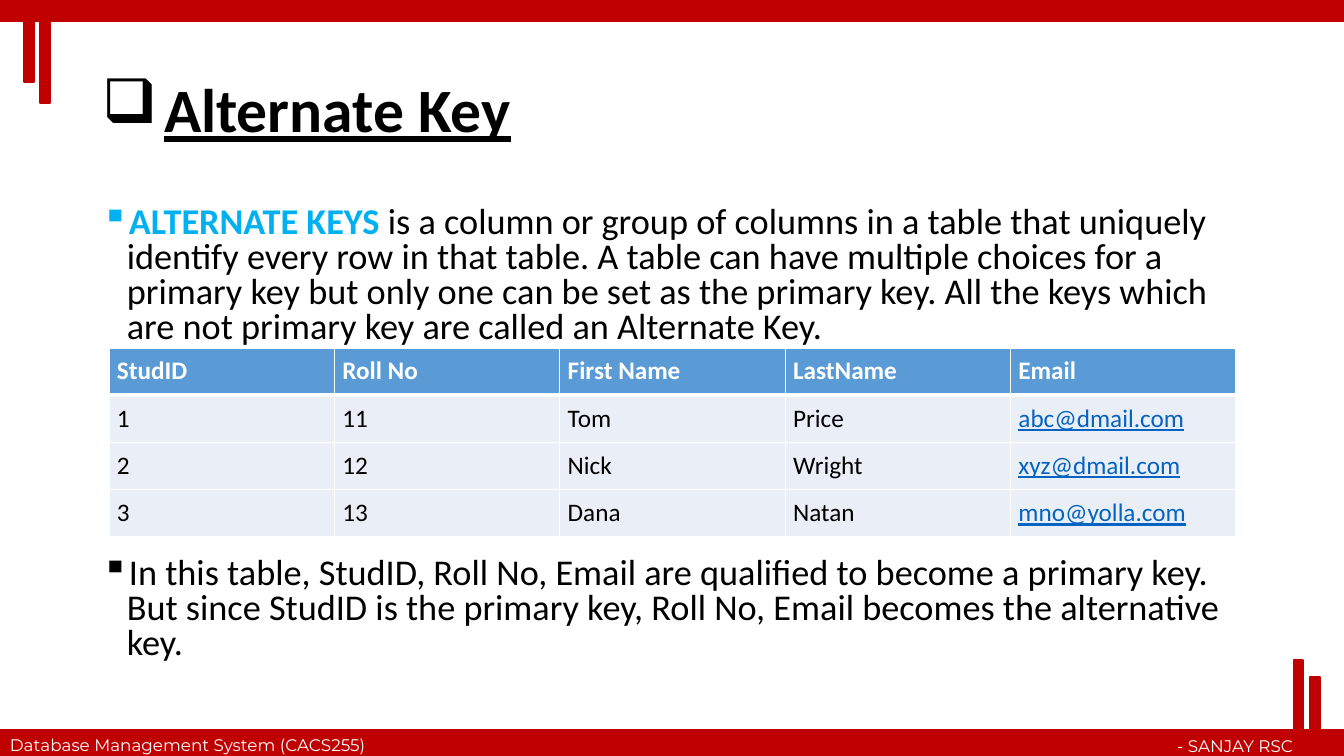
from lxml.etree import SubElement
from pptx import Presentation
from pptx.dml.color import RGBColor
from pptx.enum.shapes import MSO_SHAPE as Shape
from pptx.enum.text import MSO_ANCHOR as Anchor, MSO_AUTO_SIZE as AutoSize, PP_ALIGN as Align
from pptx.oxml.ns import qn
from pptx.util import Pt

RED = RGBColor(0xC0, 0x00, 0x00)
WHITE = RGBColor(0xFF, 0xFF, 0xFF)
BLACK = RGBColor(0x00, 0x00, 0x00)
CYAN = RGBColor(0x00, 0xB0, 0xF0)
LINK_BLUE = RGBColor(0x05, 0x63, 0xC1)
HEADER_BLUE = RGBColor(0x5B, 0x9B, 0xD5)
ROW_BLUE = RGBColor(0xEA, 0xEF, 0xF7)

WIDTH, HEIGHT = 1344, 756
EMU_PER_PX = 914400 / 100.8


def px(*lengths):
    return [round(length * EMU_PER_PX) for length in lengths]


class KeySlide:
    body_font = "Calibri"
    footer_font = "Montserrat"

    def __init__(self, presentation):
        self.slide = presentation.slides.add_slide(presentation.slide_layouts[5])

    def style(self, run, size, color, bold=False, underline=False, font=None):
        run.font.name = font or self.body_font
        run.font.size = Pt(size)
        run.font.color.rgb = color
        run.font.bold = bold
        run.font.underline = underline

    def bullet(self, paragraph, char, indent):
        properties = paragraph._p.get_or_add_pPr()
        properties.set("marL", str(px(indent)[0]))
        properties.set("indent", str(px(-indent)[0]))
        SubElement(properties, qn("a:buChar")).set("char", char)

    def bar(self, *box):
        bar = self.slide.shapes.add_shape(Shape.RECTANGLE, *px(*box))
        bar.shadow.inherit = False
        bar.fill.solid()
        bar.fill.fore_color.rgb = RED
        bar.line.color.rgb = RED
        bar.line.width = Pt(1)

    def text_box(self, *box):
        frame = self.slide.shapes.add_textbox(*px(*box)).text_frame
        frame.word_wrap = True
        return frame

    def footer(self, text, align, *box):
        paragraph = self.text_box(*box).paragraphs[0]
        paragraph.text = text
        paragraph.alignment = align
        self.style(paragraph.runs[0], 12, WHITE, font=self.footer_font)

    def title(self, text, *box):
        title = self.slide.shapes.title
        title.left, title.top, title.width, title.height = px(*box)
        frame = title.text_frame
        frame.text = text
        frame.auto_size = AutoSize.NONE
        frame.vertical_anchor = Anchor.MIDDLE
        paragraph = frame.paragraphs[0]
        self.bullet(paragraph, "❑", 62)
        paragraph.alignment = Align.LEFT
        paragraph.line_spacing = 0.9
        self.style(paragraph.runs[0], 44, BLACK, bold=True, underline=True)

    def body(self, points, gap, *box):
        """Each point is a highlighted term and the text after it."""
        frame = self.text_box(*box)
        for index, (term, text) in enumerate(points):
            paragraph = frame.add_paragraph() if index else frame.paragraphs[0]
            self.bullet(paragraph, "▪", 25)
            paragraph.line_spacing = 0.8
            paragraph.space_before = Pt(gap if index else 0)
            if term:
                run = paragraph.add_run()
                run.text = term
                self.style(run, 25.9, CYAN, bold=True)
            run = paragraph.add_run()
            run.text = text
            self.style(run, 25.9, BLACK)

    def borders(self, cell, bottom):
        properties = cell._tc.get_or_add_tcPr()
        for side, points in (("L", 1), ("R", 1), ("T", 1), ("B", bottom)):
            line = SubElement(properties, qn(f"a:ln{side}"), w=str(Pt(points)))
            fill = SubElement(line, qn("a:solidFill"))
            SubElement(fill, qn("a:srgbClr"), val=str(WHITE))

    def table(self, rows, *box):
        table = self.slide.shapes.add_table(len(rows), len(rows[0]), *px(*box)).table
        inset, = px(8)
        for r, row in enumerate(rows):
            header = r == 0
            for c, text in enumerate(row):
                cell = table.cell(r, c)
                cell.margin_left = cell.margin_right = inset
                cell.margin_top = cell.margin_bottom = inset
                self.borders(cell, 3 if header else 1)
                cell.fill.solid()
                cell.fill.fore_color.rgb = HEADER_BLUE if header else ROW_BLUE
                cell.text_frame.text = text
                is_email = "@" in text
                color = WHITE if header else LINK_BLUE if is_email else BLACK
                self.style(cell.text_frame.paragraphs[0].runs[0], 18, color,
                           bold=header, underline=is_email)


def main():
    presentation = Presentation()
    presentation.slide_width, presentation.slide_height = px(WIDTH, HEIGHT)
    slide = KeySlide(presentation)

    # Footer band with its two labels
    slide.bar(0, 730, WIDTH, 26)
    slide.footer("Database Management System (CACS255)", Align.LEFT, 0, 730, 419, 30)
    slide.footer("- SANJAY RSC", Align.RIGHT, 978, 731, 325, 30)

    # Top band and corner bars
    slide.bar(0, 0, WIDTH, 21)
    slide.bar(40, 1, 10, 102)
    slide.bar(24, 3, 10, 79)
    slide.bar(1294, 660, 9, 95)
    slide.bar(1310, 677, 10, 79)

    # Title and explanation; the gap leaves room for the table
    slide.title("Alternate Key", 92, 40, 1160, 146)
    slide.body([
        ("ALTERNATE KEYS",
         " is a column or group of columns in a table that uniquely identify every row "
         "in that table. A table can have multiple choices for a primary key but only "
         "one can be set as the primary key. All the keys which are not primary key are "
         "called an Alternate Key."),
        ("",
         "In this table, StudID, Roll No, Email are qualified to become a primary key. "
         "But since StudID is the primary key, Roll No, Email becomes the alternative "
         "key."),
    ], 151, 92, 202, 1160, 480)

    # Example table
    slide.table([
        ("StudID", "Roll No", "First Name", "LastName", "Email"),
        ("1", "11", "Tom", "Price", "abc@dmail.com"),
        ("2", "12", "Nick", "Wright", "xyz@dmail.com"),
        ("3", "13", "Dana", "Natan", "mno@yolla.com"),
    ], 109, 348, 1127, 189)

    presentation.save("out.pptx")


if __name__ == "__main__":
    main()
